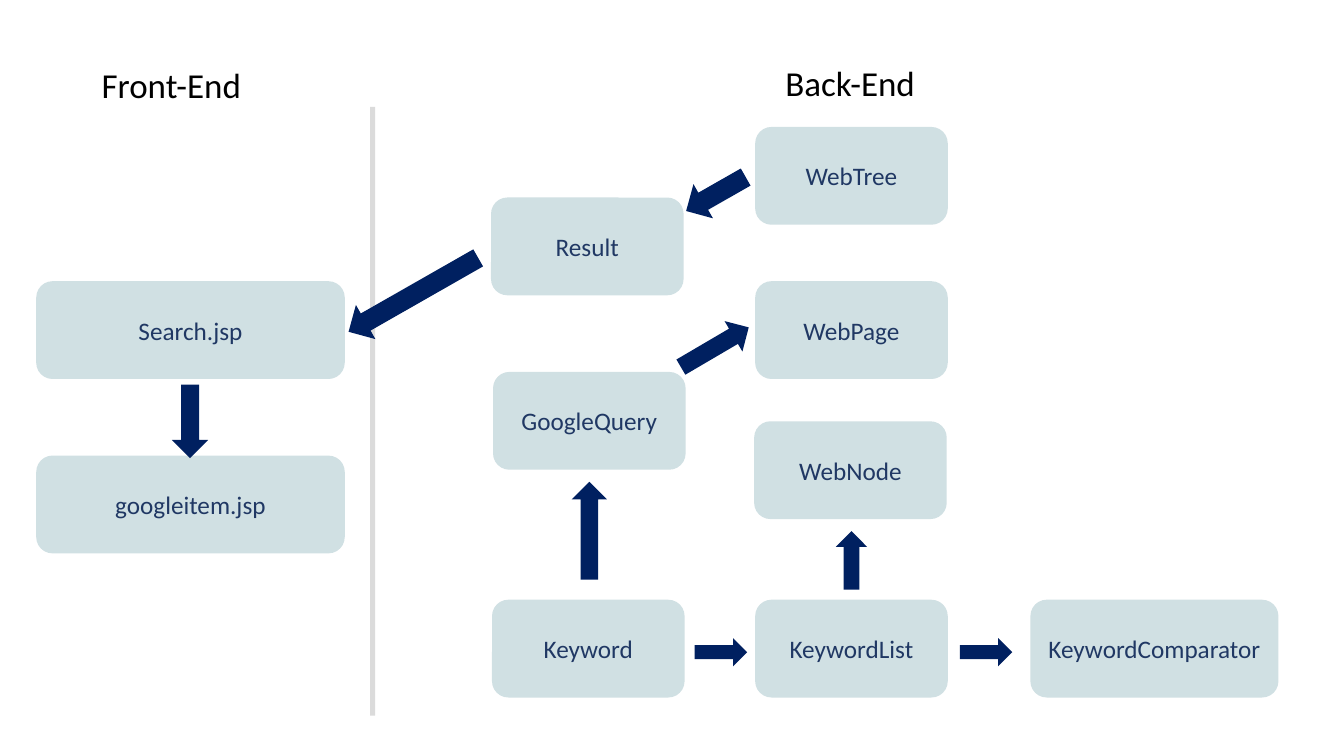
from pptx import Presentation
from pptx import util as u
from pptx.dml.color import RGBColor
from pptx.enum import shapes, text

SHAPE = shapes.MSO_SHAPE


def rgb(value):
    return RGBColor.from_string(value)


class Diagram:
    font = "Calibri"
    box_fill, box_text = "D0E0E3", "203864"
    arrow_fill, divider_fill, heading_text = "002060", "DBDBDB", "000000"
    box_height = 0.97

    def __init__(self, slide):
        self.s = slide

    def shape(self, kind, x, y, w, h, fill):
        sp = self.s.shapes.add_shape(
            kind, u.Inches(x), u.Inches(y), u.Inches(w), u.Inches(h))
        sp.shadow.inherit = False
        sp.fill.solid()
        sp.fill.fore_color.rgb = rgb(fill)
        sp.line.fill.background()
        return sp

    def add_words(self, p, words, size, color):
        r = p.add_run()
        r.text = words
        r.font.name = self.font
        r.font.size = u.Pt(size)
        r.font.color.rgb = rgb(color)

    def heading(self, words, x, y, w, wrap):
        sp = self.s.shapes.add_textbox(
            u.Inches(x), u.Inches(y), u.Inches(w), u.Inches(0.52))
        tf = sp.text_frame
        tf.word_wrap = wrap
        tf.auto_size = text.MSO_AUTO_SIZE.SHAPE_TO_FIT_TEXT
        self.add_words(tf.paragraphs[0], words, 25, self.heading_text)

    def box(self, words, x, y, w=1.91):
        sp = self.shape(SHAPE.ROUNDED_RECTANGLE, x, y, w, self.box_height,
                        self.box_fill)
        tf = sp.text_frame
        tf.vertical_anchor = text.MSO_ANCHOR.MIDDLE
        p = tf.paragraphs[0]
        p.alignment = text.PP_ALIGN.CENTER
        self.add_words(p, words, 18, self.box_text)

    def arrow(self, kind, x, y, w, h, rotation=0):
        sp = self.shape(kind, x, y, w, h, self.arrow_fill)
        sp.rotation = rotation

    def divider(self, x, y, w, h):
        self.shape(SHAPE.RECTANGLE, x, y, w, h, self.divider_fill)


def main():
    prs = Presentation()
    prs.slide_width, prs.slide_height = u.Inches(13.33), u.Inches(7.5)
    d = Diagram(prs.slides.add_slide(prs.slide_layouts[6]))

    # Headings and the line between the two sides
    d.heading("Front-End", 0.91, 0.58, 3.47, True)
    d.heading("Back-End", 7.69, 0.56, 1.52, False)
    d.divider(3.67, 1.06, 0.05, 6.04)

    # Front-end pages
    for words, y in (("Search.jsp", 2.79), ("googleitem.jsp", 4.52)):
        d.box(words, 0.36, y, 3.06)

    # Back-end classes
    for words, x, y in (
        ("Result", 4.87, 1.96),
        ("GoogleQuery", 4.89, 3.69),
        ("Keyword", 4.88, 5.95),
        ("WebTree", 7.49, 1.26),
        ("WebPage", 7.49, 2.79),
        ("WebNode", 7.48, 4.18),
        ("KeywordList", 7.49, 5.95),
    ):
        d.box(words, x, y)
    d.box("KeywordComparator", 10.22, 5.95, 2.46)

    # Horizontal arrows along the keyword row
    for x in (6.89, 9.52):
        d.arrow(SHAPE.RIGHT_ARROW, x, 6.33, 0.52, 0.28)

    # Vertical arrows
    d.arrow(SHAPE.RIGHT_ARROW, 1.52, 4, 0.73, 0.36, 90)
    d.arrow(SHAPE.DOWN_ARROW, 8.29, 5.27, 0.31, 0.58, 180)
    d.arrow(SHAPE.DOWN_ARROW, 5.67, 4.78, 0.35, 0.97, 180)

    # Slanted arrows
    d.arrow(SHAPE.RIGHT_ARROW, 3.36, 2.73, 1.48, 0.39, 150.3)
    d.arrow(SHAPE.RIGHT_ARROW, 6.76, 1.73, 0.68, 0.39, 150.3)
    d.arrow(SHAPE.RIGHT_ARROW, 6.7, 3.27, 0.78, 0.35, 329.6)

    prs.save("out.pptx")


if __name__ == "__main__":
    main()
